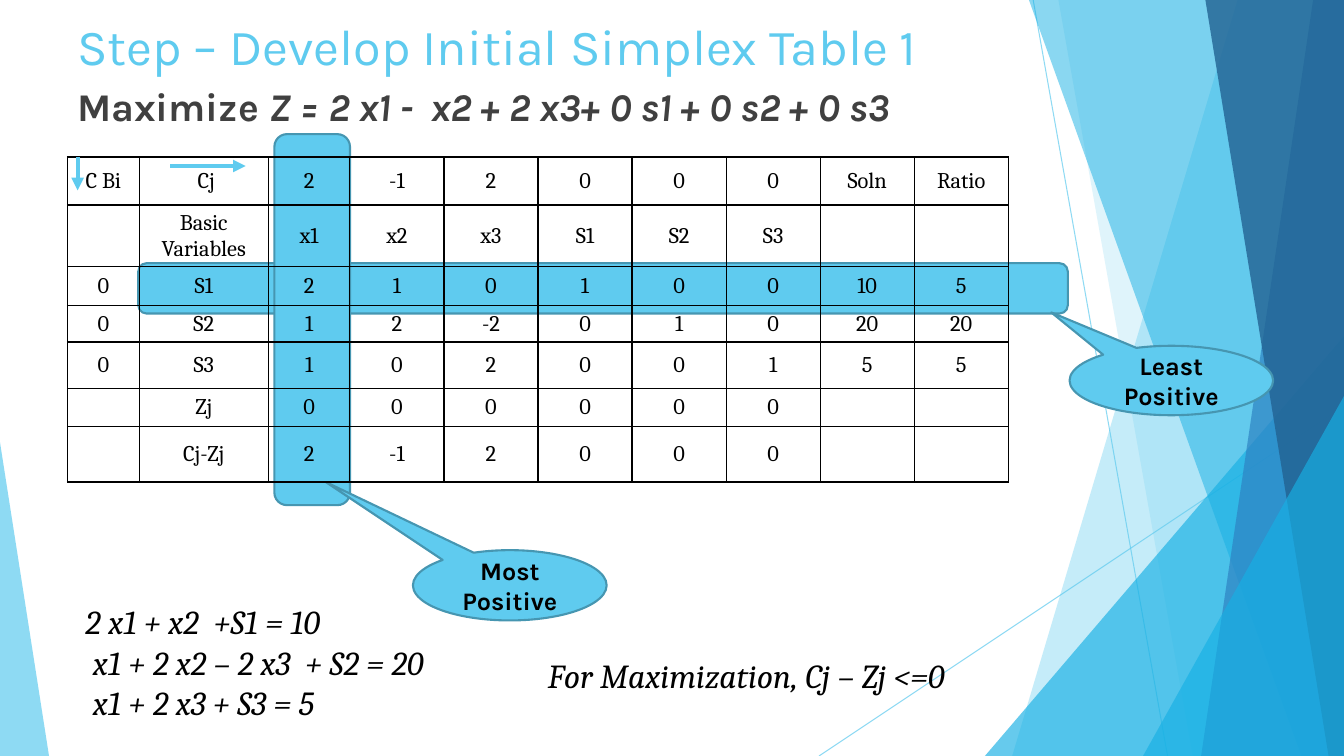
from pptx import Presentation
from pptx.dml.color import RGBColor
from pptx.enum.shapes import MSO_CONNECTOR, MSO_SHAPE
from pptx.enum.text import MSO_ANCHOR, PP_ALIGN
from pptx.oxml import parse_xml
from pptx.oxml.ns import nsdecls
from pptx.util import Pt

SKY, AQUA, EDGE, BLACK, GREY = "5FCBEF", "17B0E4", "4696B1", "000000", "404040"
HEAD = {"name": "Karla", "size": Pt(36)}
GOAL = {"name": "Karla", "size": Pt(28), "bold": True}
NOTE = {"name": "Karla", "size": Pt(18), "bold": True}
MATH = {"name": "Cambria", "size": Pt(24), "italic": True}
BODY = {"name": "Cambria", "size": Pt(16)}

FACETS = [
    ([(884, 0), (960, 0), (960, 540), (723, 540)], SKY, 36),
    ([(756, 0), (960, 0), (960, 540), (852, 540)], SKY, 20),
    ([(703.5, 240), (960, 240), (960, 540), (703.5, 540)], AQUA, 66),
    ([(735, 0), (960, 0), (960, 540), (929.5, 540)], AQUA, 50),
    ([(938, 0), (960, 0), (960, 540), (858, 540)], "2E83C3", 70),
    ([(861, 0), (960, 0), (960, 540), (949, 540)], "226292", 80),
]
WEDGES = [
    ((703.5, 240, 256.5, 300), 1, AQUA, 66),
    ((816.5, 283, 143.5, 257), 1, AQUA, 66),
    ((0, 316, 35, 224), 0, SKY, 70),
]
ROWS = [
    ["C Bi", " Cj", "2", "-1", "2", "0", "0", "0", "Soln", "Ratio"],
    ["", "Basic Variables", "x1", "x2", "x3", "S1", "S2", "S3", "", ""],
    ["0", "S1", "2", "1", "0", "1", "0", "0", "10", "5"],
    ["0", "S2", "1", "2", "-2", "0", "1", "0", "20", "20"],
    ["0", "S3", "1", "0", "2", "0", "0", "1", "5", "5"],
    ["", "Zj", "0", "0", "0", "0", "0", "0", "", ""],
    ["", "Cj-Zj", "2", "-1", "2", "0", "0", "0", "", ""],
]
WIDTHS = [51.3, 92.2, 58.3] + [67.2] * 7
HEIGHTS = [34.3, 38.9, 27.9, 25.9, 33.5, 23, 39.8]


def color(code):
    return RGBColor.from_string(code)


def points(values):
    return [Pt(value) for value in values]


def element(text):
    return parse_xml(text.replace(">", f" {nsdecls('a')}>", 1))


def fade(fill, share):
    for node in fill._xPr.iter("{*}srgbClr"):
        node.append(element(f'<a:alpha val="{share * 1000}"></a:alpha>'))


def paint(shape, code, share=100, edge=None):
    shape.shadow.inherit = False
    shape.fill.solid()
    shape.fill.fore_color.rgb = color(code)
    if share < 100:
        fade(shape.fill, share)
    if edge:
        shape.line.color.rgb = color(edge)
        shape.line.width = Pt(1.5)
    else:
        shape.line.fill.background()


def write(para, text, form, code=BLACK):
    run = para.add_run()
    run.text = text
    for name, value in form.items():
        setattr(run.font, name, value)
    run.font.color.rgb = color(code)


def add_facet(slide, spots, code, share):
    first, *rest = [points(spot) for spot in spots]
    pen = slide.shapes.build_freeform(*first)
    pen.add_line_segments(rest, close=True)
    paint(pen.convert_to_shape(), code, share)


def add_wedge(slide, box, peak, code, share):
    shape = slide.shapes.add_shape(MSO_SHAPE.ISOSCELES_TRIANGLE, *points(box))
    shape.adjustments[0] = peak
    paint(shape, code, share)


def add_line(slide, ends, width, share=100, arrow=False):
    line = slide.shapes.add_connector(MSO_CONNECTOR.STRAIGHT, *points(ends))
    line.line.color.rgb = color(SKY)
    line.line.width = Pt(width)
    if share < 100:
        fade(line.line.fill, share)
    if arrow:
        line.line._get_or_add_ln().append(element('<a:tailEnd type="triangle"></a:tailEnd>'))
    line._element.spPr.append(element("<a:effectLst></a:effectLst>"))


def add_band(slide, box):
    band = slide.shapes.add_shape(MSO_SHAPE.ROUNDED_RECTANGLE, *points(box))
    paint(band, SKY, edge=EDGE)


def add_bubble(slide, box, tip, text):
    shape = slide.shapes.add_shape(MSO_SHAPE.OVAL_CALLOUT, *points(box))
    for index, value in enumerate(tip):
        shape.adjustments[index] = value
    paint(shape, SKY, edge=EDGE)
    frame = shape.text_frame
    frame.word_wrap = True
    frame.vertical_anchor = MSO_ANCHOR.MIDDLE
    para = frame.paragraphs[0]
    para.alignment = PP_ALIGN.CENTER
    write(para, text, NOTE)


def add_text(slide, box, lines, code=BLACK):
    frame = slide.shapes.add_textbox(*points(box)).text_frame
    frame.word_wrap = True
    for index, line in enumerate(lines):
        para = frame.add_paragraph() if index else frame.paragraphs[0]
        for text, form in line:
            write(para, text, form, code)


def fill_cell(cell, text):
    cell.fill.background()
    for index, side in enumerate("LRTB"):
        border = element(
            f'<a:ln{side} w="12700"><a:solidFill><a:srgbClr val="{BLACK}"/>'
            f"</a:solidFill></a:ln{side}>")
        cell._tc.tcPr.insert(index, border)
    cell.vertical_anchor = MSO_ANCHOR.MIDDLE
    para = cell.text_frame.paragraphs[0]
    para.alignment = PP_ALIGN.CENTER
    if text:
        write(para, text, BODY)
    else:
        para._p.append(element('<a:endParaRPr sz="1600"></a:endParaRPr>'))


def add_grid(slide, left, top):
    box = points((left, top, sum(WIDTHS), sum(HEIGHTS)))
    table = slide.shapes.add_table(len(ROWS), len(WIDTHS), *box).table
    table.first_row = table.horz_banding = False
    for column, width in zip(table.columns, WIDTHS):
        column.width = Pt(width)
    for row, height, texts in zip(table.rows, HEIGHTS, ROWS):
        row.height = Pt(height)
        for cell, text in zip(row.cells, texts):
            fill_cell(cell, text)


def main():
    deck = Presentation()
    deck.slide_width, deck.slide_height = Pt(960), Pt(540)
    slide = deck.slides.add_slide(deck.slide_layouts[6])

    add_line(slide, (738, 0, 834, 540), 0.75, share=70)
    add_line(slide, (960, 290, 585, 540), 0.75, share=70)
    for facet in FACETS[:2]:
        add_facet(slide, *facet)
    add_wedge(slide, *WEDGES[0])
    for facet in FACETS[3:]:
        add_facet(slide, *facet)
    for wedge in WEDGES[1:]:
        add_wedge(slide, *wedge)

    add_band(slide, (98.8, 188, 664, 36))
    add_band(slide, (196, 95.8, 54, 265))
    add_bubble(slide, (295, 393, 138.4, 50.2), (-0.95, -1.47), "Most Positive")
    add_grid(slide, 48.2, 112.2)
    add_text(slide, (48, 7.2, 677, 62), [[("Step – Develop Initial Simplex Table 1", HEAD)]], SKY)
    goal = [("Maximize ", GOAL),
            ("Z = 2 x1 -  x2 + 2 x3+ 0 s1 + 0 s2 + 0 s3", GOAL | {"italic": True})]
    add_text(slide, (48, 55, 756, 41), [goal], GREY)
    add_line(slide, (121.5, 118.6, 175.5, 118.6), 3, arrow=True)
    add_line(slide, (55.5, 112, 55.5, 136), 3, arrow=True)
    rules = ["2 x1 + x2  +S1 = 10", " x1 + 2 x2 – 2 x3  + S2 = 20", " x1 + 2 x3 + S3 = 5"]
    add_text(slide, (54, 426, 321, 94), [[(rule, MATH)] for rule in rules])
    add_text(slide, (384.3, 464, 343.5, 36), [[("For Maximization, Cj – Zj <=0", MATH)]])
    add_bubble(slide, (764, 247, 145.4, 49.6), (-0.59, -0.98), "Least Positive")
    deck.save("out.pptx")


if __name__ == "__main__":
    main()
